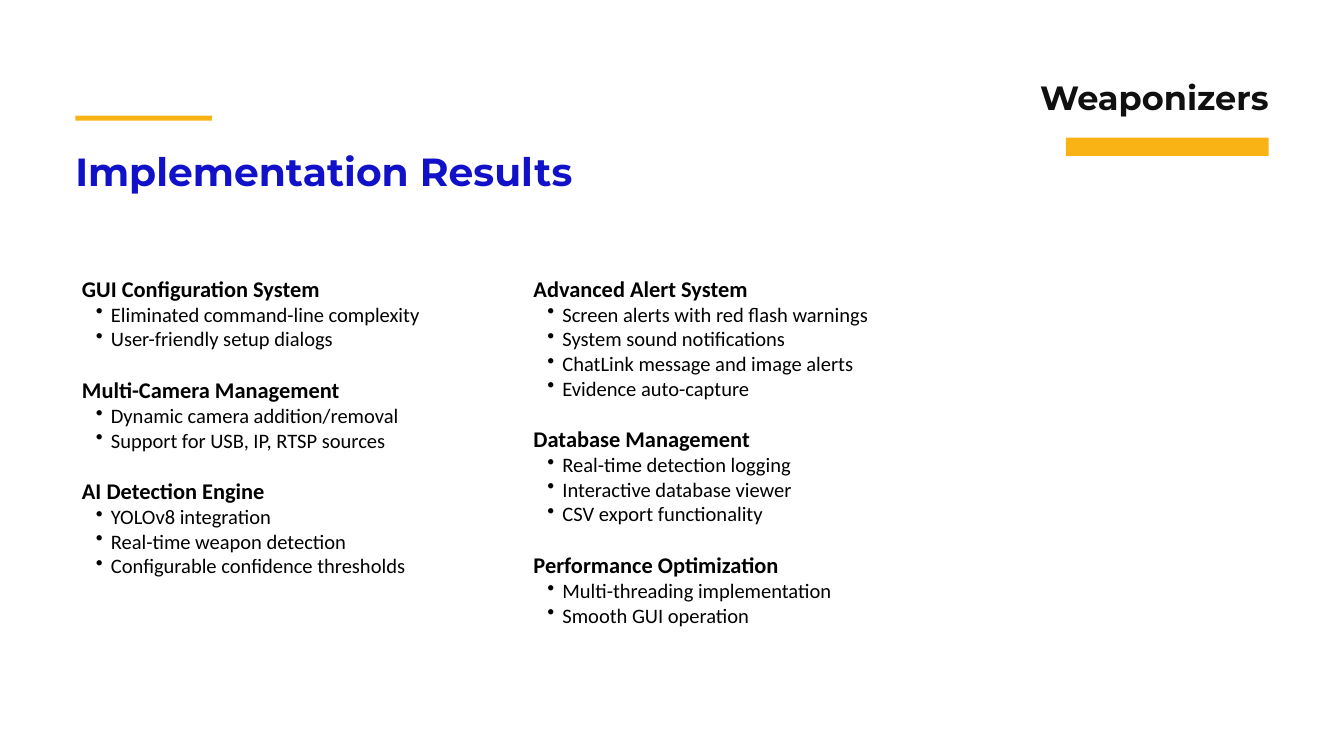
from lxml.etree import SubElement
from pptx import Presentation
from pptx.dml.color import RGBColor
from pptx.enum.shapes import MSO_SHAPE
from pptx.enum.text import MSO_AUTO_SIZE as AutoSize, PP_ALIGN as Align
from pptx.oxml.ns import qn
from pptx.util import Pt

AMBER = RGBColor(0xF9, 0xB3, 0x14)
BLUE = RGBColor(0x12, 0x11, 0xCA)
CHARCOAL = RGBColor(0x10, 0x10, 0x10)
BLACK = RGBColor(0, 0, 0)

LEFT_EDGE = 80.7
COLUMN_TOP = 290.9
SECTION_GAP = 26.85

SETUP_RESULTS = {
    "GUI Configuration System": [
        "Eliminated command-line complexity",
        "User-friendly setup dialogs",
    ],
    "Multi-Camera Management": [
        "Dynamic camera addition/removal",
        "Support for USB, IP, RTSP sources",
    ],
    "AI Detection Engine": [
        "YOLOv8 integration",
        "Real-time weapon detection",
        "Configurable confidence thresholds",
    ],
}
OPERATION_RESULTS = {
    "Advanced Alert System": [
        "Screen alerts with red flash warnings",
        "System sound notifications",
        "ChatLink message and image alerts",
        "Evidence auto-capture",
    ],
    "Database Management": [
        "Real-time detection logging",
        "Interactive database viewer",
        "CSV export functionality",
    ],
    "Performance Optimization": [
        "Multi-threading implementation",
        "Smooth GUI operation",
    ],
}


def add_bar(slide, left, top, width, height):
    bar = slide.shapes.add_shape(
        MSO_SHAPE.RECTANGLE, Pt(left), Pt(top), Pt(width), Pt(height))
    bar.shadow.inherit = False
    bar.fill.solid()
    bar.fill.fore_color.rgb = AMBER
    bar.line.fill.background()


def add_frame(slide, left, top, width, height):
    frame = slide.shapes.add_textbox(
        Pt(left), Pt(top), Pt(width), Pt(height)).text_frame
    frame.word_wrap = True
    frame.auto_size = AutoSize.SHAPE_TO_FIT_TEXT
    return frame


def set_font(paragraph, name, size, color, bold):
    font = paragraph.font
    font.name, font.size, font.bold = name, Pt(size), bold
    font.color.rgb = color


def add_heading(slide, text, left, top, width, height, size, color):
    frame = add_frame(slide, left, top, width, height)
    frame.margin_left = frame.margin_right = 0
    frame.margin_top = frame.margin_bottom = 0
    heading = frame.paragraphs[0]
    heading.text = text
    set_font(heading, "Montserrat", size, color, True)
    return heading


def add_bullet(paragraph):
    properties = paragraph._p.get_or_add_pPr()
    properties.set("marL", str(Pt(31)))
    properties.set("indent", str(Pt(-16)))
    SubElement(properties, qn("a:buChar"), char="•")


def add_results(slide, sections, left, width, height):
    frame = add_frame(slide, left, COLUMN_TOP, width, height)
    for index, (section, results) in enumerate(sections.items()):
        if index:
            title = frame.add_paragraph()
            title.space_before = Pt(SECTION_GAP)
        else:
            title = frame.paragraphs[0]
        title.text = section
        set_font(title, "Calibri", 24, BLACK, True)
        for result in results:
            item = frame.add_paragraph()
            item.text = result
            add_bullet(item)
            set_font(item, "Calibri", 22, BLACK, False)


def main():
    deck = Presentation()
    deck.slide_width, deck.slide_height = Pt(1440), Pt(810)
    slide = deck.slides.add_slide(deck.slide_layouts[6])

    add_bar(slide, LEFT_EDGE, 124, 146.5, 5.4)
    add_bar(slide, 1142, 147.6, 217.4, 19.4)
    add_heading(slide, "Implementation Results",
                LEFT_EDGE, 157.7, 744.5, 51, 42, BLUE)
    team = add_heading(slide, "Weaponizers",
                       1084.4, 74.9, 275, 44.6, 36, CHARCOAL)
    team.alignment = Align.RIGHT
    team.line_spacing = Pt(50.4)

    add_results(slide, SETUP_RESULTS, LEFT_EDGE, 437.8, 334)
    add_results(slide, OPERATION_RESULTS, 564.5, 522, 414.7)
    deck.save("out.pptx")


if __name__ == "__main__":
    main()
